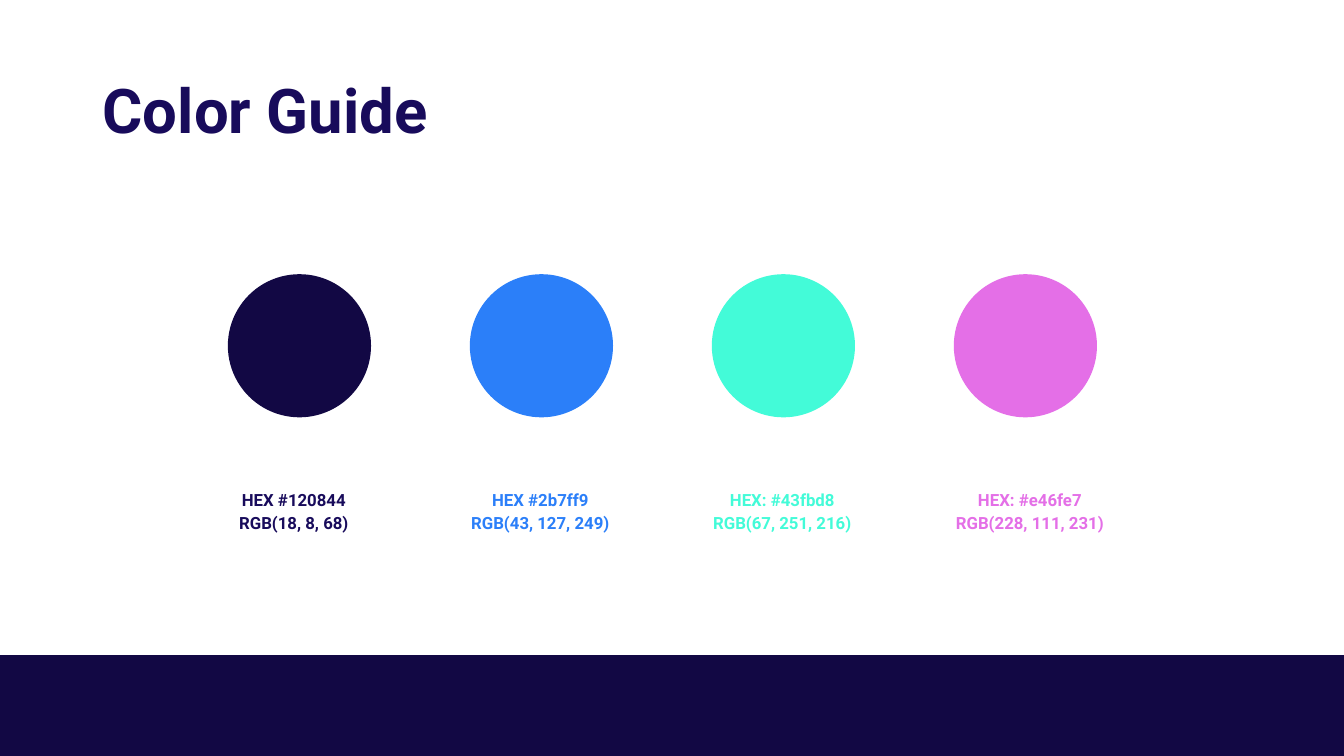
"""Build the Color Guide slide with four swatches and their colour codes."""
from pptx import Presentation
from pptx.dml.color import RGBColor
from pptx.enum.shapes import MSO_SHAPE
from pptx.enum.text import MSO_ANCHOR, PP_ALIGN
from pptx.util import Inches, Pt

RECTANGLE, OVAL = MSO_SHAPE.RECTANGLE, MSO_SHAPE.OVAL
MIDDLE = MSO_ANCHOR.MIDDLE
LEFT, CENTER = PP_ALIGN.LEFT, PP_ALIGN.CENTER

FONT = "Roboto"
COLORS = {
    "white": "FFFFFF",
    "navy": "120844",
    "ink": "180B5B",
    "blue": "2B7FF9",
    "mint": "43FBD8",
    "pink": "E46FE7",
}
TITLE = "Color Guide"
# swatch colour, code colour, code lines, code left, code width
SWATCHES = [
    ("navy", "ink", ["HEX #120844", "RGB(18, 8, 68)"], 2.16, 1.51),
    ("blue", "blue", ["HEX #2b7ff9", "RGB(43, 127, 249)"], 4.46, 1.8),
    ("mint", "mint", ["HEX: #43fbd8", "RGB(67, 251, 216)"], 6.86, 1.8),
    ("pink", "pink", ["HEX: #e46fe7", "RGB(228, 111, 231)"], 9.26, 1.91),
]

SLIDE_WIDTH, SLIDE_HEIGHT = 13.33, 7.5
FOOTER_HEIGHT = 1
SWATCH_LEFT, SWATCH_TOP, SWATCH_SIZE, SWATCH_PITCH = 2.26, 2.72, 1.42, 2.4
CODE_TOP, CODE_HEIGHT = 4.65, 0.82


def rgb(name):
    """Return the named colour."""
    return RGBColor.from_string(COLORS[name])


def add_filled(slide, preset, box, color):
    """Add a plain filled shape."""
    shape = slide.shapes.add_shape(preset, *map(Inches, box))
    shape.shadow.inherit = False
    shape.fill.solid()
    shape.fill.fore_color.rgb = rgb(color)
    shape.line.fill.background()


def add_text(slide, lines, box, *, size, color, align=LEFT, spacing=1.0):
    """Add a bold text box with one paragraph for each line."""
    frame = slide.shapes.add_textbox(*map(Inches, box)).text_frame
    frame.word_wrap = True
    frame.vertical_anchor = MIDDLE
    frame.text = "\n".join(lines)
    for paragraph in frame.paragraphs:
        paragraph.alignment = align
        paragraph.line_spacing = spacing
        font = paragraph.runs[0].font
        font.name, font.size, font.bold = FONT, Pt(size), True
        font.color.rgb = rgb(color)


def main():
    """Compose and save the slide."""
    deck = Presentation()
    deck.slide_width, deck.slide_height = Inches(SLIDE_WIDTH), Inches(SLIDE_HEIGHT)
    slide = deck.slides.add_slide(deck.slide_layouts[6])
    slide.background.fill.solid()
    slide.background.fill.fore_color.rgb = rgb("white")

    footer_top = SLIDE_HEIGHT - FOOTER_HEIGHT
    add_filled(slide, RECTANGLE, (0, footer_top, SLIDE_WIDTH, FOOTER_HEIGHT), "navy")
    add_text(slide, [TITLE], (0.92, 0.4, 11.5, 1.45), size=44, color="ink", spacing=0.9)

    for index, (swatch, code_color, code, code_left, code_width) in enumerate(SWATCHES):
        swatch_left = SWATCH_LEFT + index * SWATCH_PITCH
        add_filled(slide, OVAL, (swatch_left, SWATCH_TOP, SWATCH_SIZE, SWATCH_SIZE), swatch)
        add_text(slide, code, (code_left, CODE_TOP, code_width, CODE_HEIGHT),
                 size=12, color=code_color, align=CENTER, spacing=1.15)

    deck.save("out.pptx")


if __name__ == "__main__":
    main()
